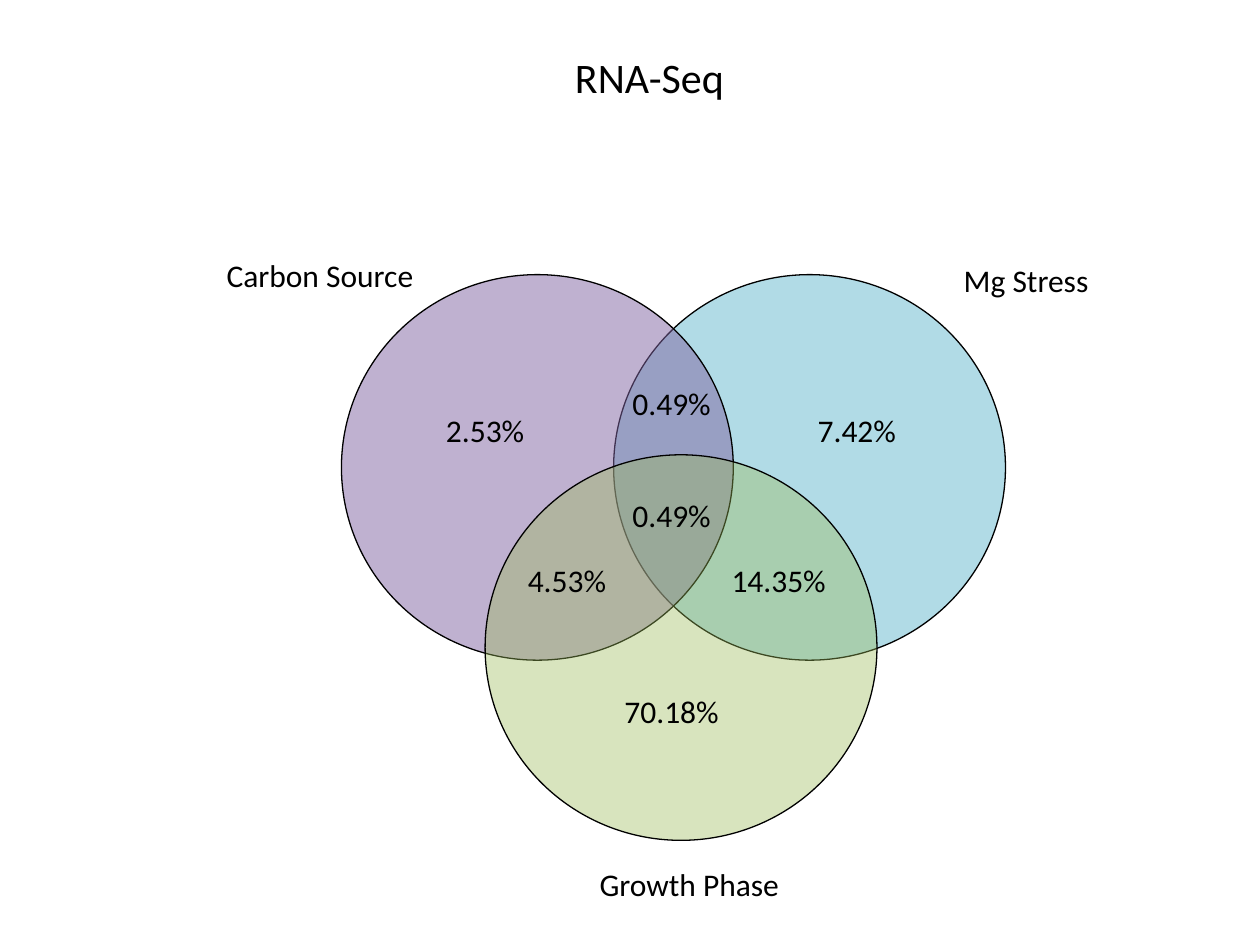
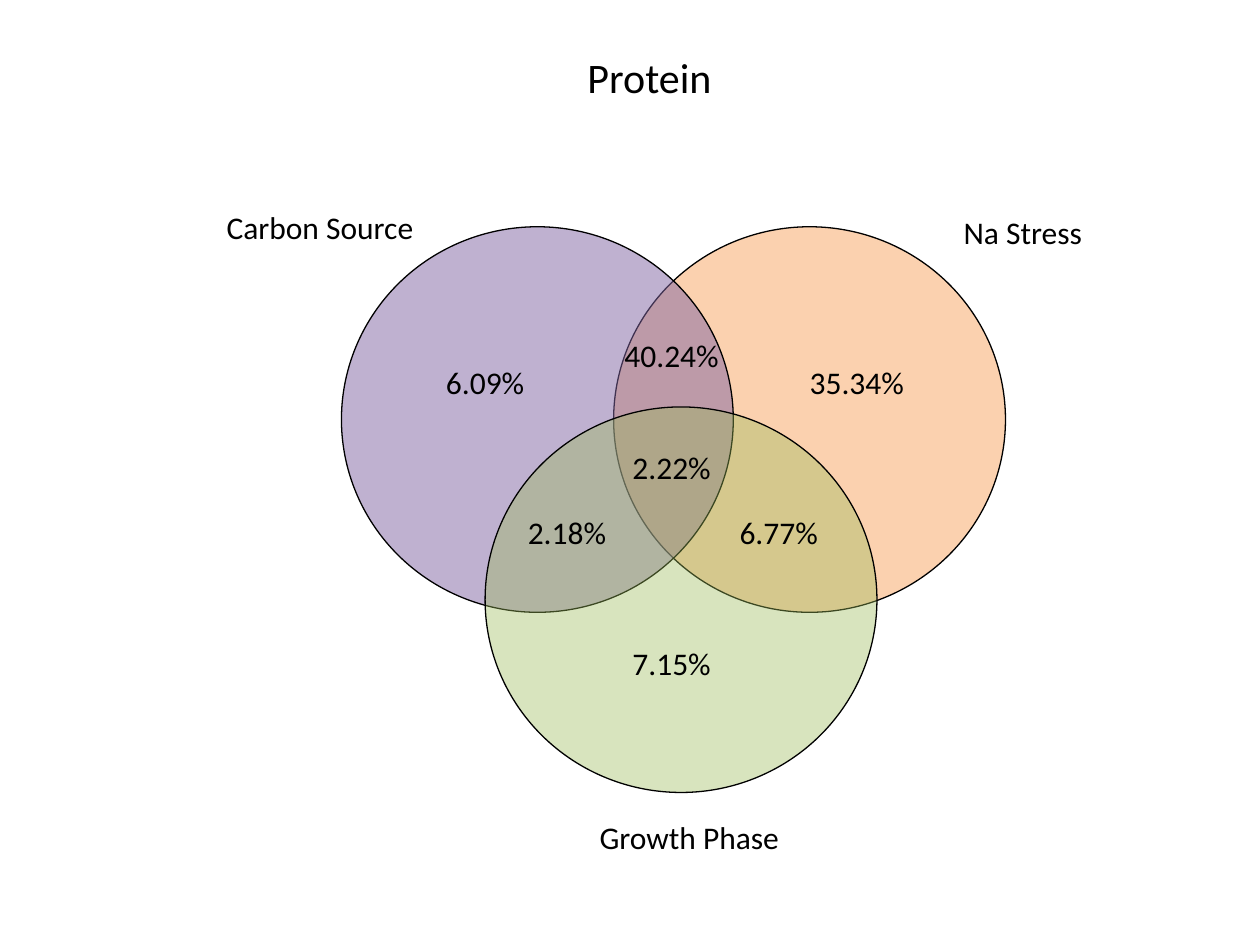
import pptx
import pptx.util
import pptx.dml.color
import pptx.enum.shapes
import pptx.enum.text
import pptx.oxml
import pptx.oxml.ns
from pptx.util import Inches

FONT = "Calibri"
COLORS = {
    "ink": "000000",
    "carbon": "8064A2",
    "growth": "9BBB59",
    "mg": "4BACC6",
    "na": "F79646",
}
SPOTS = [(3.36, 3.21), (4.84, 3), (6.31, 3.21), (4.01, 4.4),
         (4.84, 3.89), (5.69, 4.4), (4.84, 5.44)]
VENNS = [
    {"title": "RNA-Seq", "stress": "Mg Stress", "width": 1.21, "hue": "mg", "lift": 0,
     "shares": ["2.53%", "0.49%", "7.42%", "4.53%", "0.49%", "14.35%", "70.18%"]},
    {"title": "Protein", "stress": "Na Stress", "width": 1.16, "hue": "na", "lift": 0.38,
     "shares": ["6.09%", "40.24%", "35.34%", "2.18%", "2.22%", "6.77%", "7.15%"]},
]
ALIGN = pptx.enum.text.PP_ALIGN


def rgb(name):
    return pptx.dml.color.RGBColor.from_string(COLORS[name])


def write(frame, text, size, align, wrap=True):
    frame.word_wrap = wrap
    frame.auto_size = pptx.enum.text.MSO_AUTO_SIZE.SHAPE_TO_FIT_TEXT
    frame.vertical_anchor = pptx.enum.text.MSO_ANCHOR.TOP
    line = frame.paragraphs[0]
    line.alignment = align
    run = line.add_run()
    run.text = text
    run.font.name = FONT
    run.font.size = pptx.util.Pt(size)
    run.font.color.rgb = rgb("ink")


deck = pptx.Presentation()
deck.slide_width = Inches(10)
deck.slide_height = Inches(7.5)

for venn in VENNS:
    slide = deck.slides.add_slide(deck.slide_layouts[5])
    title = slide.shapes.title
    title.left, title.top = Inches(1.31), Inches(0.36)
    title.width, title.height = Inches(7.69), Inches(0.5)
    write(title.text_frame, venn["title"], 24, ALIGN.CENTER)

    group = slide.shapes.add_group_shape()
    lift = venn["lift"]

    circles = [(4.87, 2.18, venn["hue"], 43), (2.71, 2.18, "carbon", 50),
               (3.85, 3.61, "growth", 39)]
    for left, top, hue, alpha in circles:
        circle = group.shapes.add_shape(
            pptx.enum.shapes.MSO_SHAPE.OVAL,
            Inches(left), Inches(top - lift), Inches(3.11), Inches(3.06))
        circle.shadow.inherit = False
        circle.fill.solid()
        circle.fill.fore_color.rgb = rgb(hue)
        tint = circle.fill._xPr.find(".//" + pptx.oxml.ns.qn("a:srgbClr"))
        clear = pptx.oxml.parse_xml(
            f'<a:alpha {pptx.oxml.ns.nsdecls("a")} val="{alpha * 1000}"/>')
        tint.append(clear)
        circle.line.color.rgb = rgb("ink")
        circle.line.width = pptx.util.Pt(0.75)

    for (left, top), share in zip(SPOTS, venn["shares"]):
        box = group.shapes.add_textbox(
            Inches(left), Inches(top - lift), Inches(0.98), Inches(0.4))
        write(box.text_frame, share, 18, ALIGN.CENTER)

    labels = [("Carbon Source", 1.7, 1.98, 1.7),
              (venn["stress"], 7.55, 2.02, venn["width"]),
              ("Growth Phase", 4.66, 6.82, 1.65)]
    for text, left, top, width in labels:
        box = group.shapes.add_textbox(
            Inches(left), Inches(top - lift), Inches(width), Inches(0.4))
        write(box.text_frame, text, 18, ALIGN.LEFT, False)

deck.save("out.pptx")
